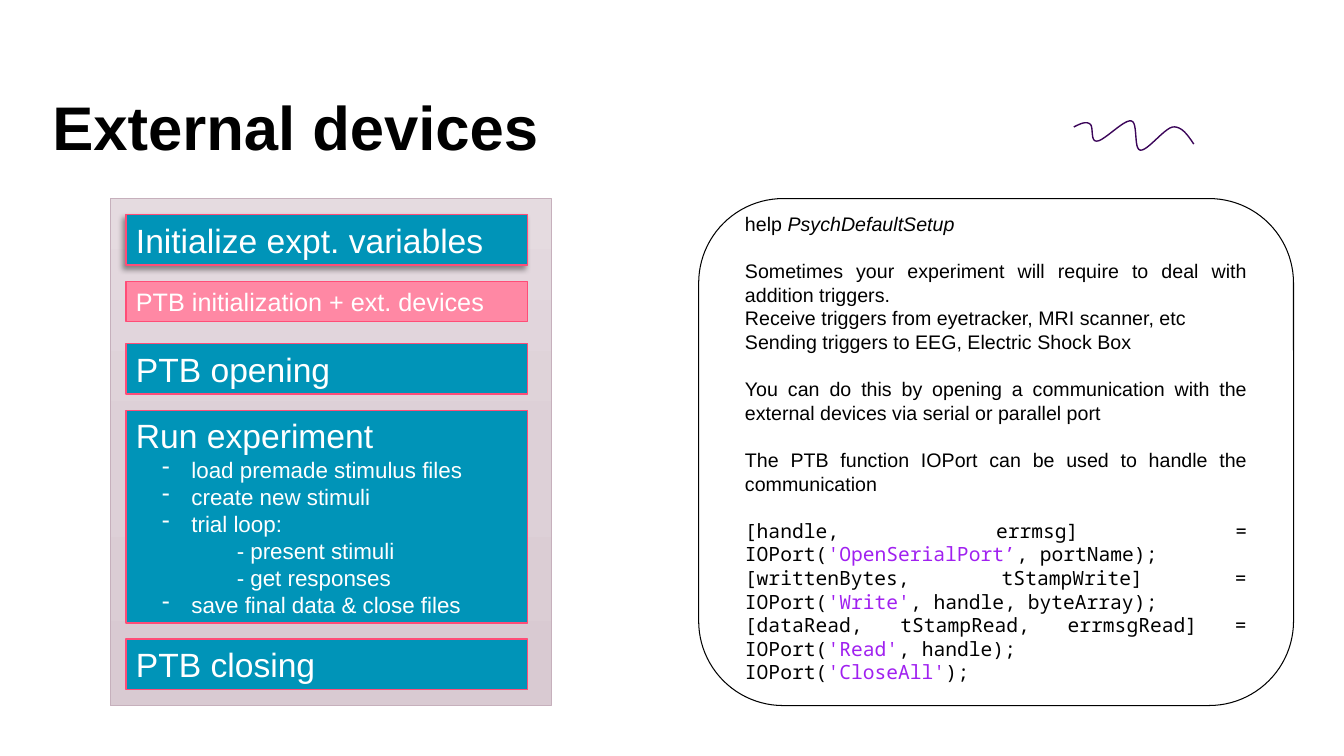
from copy import deepcopy

from lxml import etree
from pptx import Presentation
from pptx.dml.color import RGBColor
from pptx.enum.shapes import MSO_SHAPE
from pptx.enum.text import MSO_ANCHOR, PP_ALIGN
from pptx.oxml.ns import qn
from pptx.util import Inches, Pt

RECTANGLE = MSO_SHAPE.RECTANGLE
ROUNDED = MSO_SHAPE.ROUNDED_RECTANGLE
TOP = MSO_ANCHOR.TOP
LEFT = PP_ALIGN.LEFT
JUSTIFY = PP_ALIGN.JUSTIFY

BLACK = RGBColor(0x00, 0x00, 0x00)
WHITE = RGBColor(0xFF, 0xFF, 0xFF)
BLUE = RGBColor(0x00, 0x94, 0xB8)
PINK = RGBColor(0xFF, 0x88, 0xA4)
ROSE = RGBColor(0xFF, 0x4D, 0x77)
MAUVE = RGBColor(0xC6, 0xB0, 0xBC)
PURPLE = RGBColor(0x3B, 0x05, 0x59)
STRING = RGBColor(0xA0, 0x20, 0xF0)
PANEL_STOPS = [
    (0, RGBColor(0xE5, 0xDB, 0xE0)),
    (0.5, RGBColor(0xDD, 0xD0, 0xD7)),
    (1, RGBColor(0xD9, 0xCA, 0xD2)),
]

BODY_FONT = "Arial"
CODE_FONT = "Noto Sans Mono"
LINE_PITCH = 1.205
NOTE_SIZE = 14

SQUIGGLE_START = (10.65, 1.26)
SQUIGGLE_CURVES = [
    ((10.71, 1.23), (10.77, 1.2), (10.81, 1.23)),
    ((10.85, 1.25), (10.81, 1.41), (10.88, 1.4)),
    ((10.95, 1.4), (11.15, 1.18), (11.22, 1.2)),
    ((11.29, 1.21), (11.24, 1.48), (11.31, 1.49)),
    ((11.38, 1.5), (11.54, 1.28), (11.63, 1.26)),
    ((11.72, 1.25), (11.78, 1.34), (11.84, 1.43)),
]

STAGES = [
    ("Initialize expt. variables", 2.13, 0.5, 24, BLUE),
    ("PTB opening", 3.41, 0.5, 24, BLUE),
    ("Run experiment", 4.07, 2.11, 24, BLUE),
    ("PTB closing", 6.34, 0.5, 24, BLUE),
    ("PTB initialization + ext. devices", 2.79, 0.4, 18, PINK),
]
RUN_STEPS = [
    ("load premade stimulus files", True),
    ("create new stimuli", True),
    ("trial loop:", True),
    ("- present stimuli", False),
    ("- get responses", False),
    ("save final data & close files", True),
]

NOTES = [
    ("Sometimes your experiment will require to deal with addition triggers.", True),
    ("Receive triggers from eyetracker, MRI scanner, etc", False),
    ("Sending triggers to EEG, Electric Shock Box", False),
    ("You can do this by opening a communication with the external devices "
     "via serial or parallel port", True),
    ("The PTB function IOPort can be used to handle the communication", True),
]
CODE = [
    ("[handle, errmsg] = IOPort(", "'OpenSerialPort’", ", portName);"),
    ("[writtenBytes, tStampWrite] = IOPort(", "'Write'", ", handle, byteArray);"),
    ("[dataRead, tStampRead, errmsgRead] = IOPort(", "'Read'", ", handle);"),
    ("IOPort(", "'CloseAll'", ");"),
]


class SlideBuilder:
    def __init__(self, slide):
        self.slide = slide

    def box(self, kind, bounds, line_color, line_width, fill=None):
        shape = self.slide.shapes.add_shape(kind, *map(Inches, bounds))
        shape.shadow.inherit = False
        shape.line.color.rgb = line_color
        shape.line.width = Pt(line_width)
        if fill is None:
            shape.fill.background()
        else:
            shape.fill.solid()
            shape.fill.fore_color.rgb = fill
        shape.text_frame.word_wrap = True
        shape.text_frame.vertical_anchor = TOP
        return shape

    def text_box(self, bounds):
        frame = self.slide.shapes.add_textbox(*map(Inches, bounds)).text_frame
        frame.word_wrap = True
        return frame

    def fill_paragraph(self, paragraph, parts, size, color, font=BODY_FONT, align=LEFT):
        paragraph.alignment = align
        paragraph.line_spacing = Pt(size * LINE_PITCH)
        for part in parts:
            run = paragraph.add_run()
            run.text = part
            run.font.name = font
            run.font.size = Pt(size)
            run.font.color.rgb = color
        return paragraph

    def indent(self, paragraph, margin, hanging=0, bullet=None):
        properties = paragraph._p.get_or_add_pPr()
        properties.set("marL", str(Inches(margin)))
        properties.set("indent", str(-Inches(hanging)))
        if bullet:
            etree.SubElement(properties, qn("a:buChar"), char=bullet)

    def gradient(self, shape, stops):
        shape.fill.gradient()
        shape.fill.gradient_angle = 270
        stop_list = shape._element.spPr.find(qn("a:gradFill")).find(qn("a:gsLst"))
        stop_list.insert(1, deepcopy(stop_list[0]))
        for stop, (position, color) in zip(shape.fill.gradient_stops, stops):
            stop.position = position
            stop.color.rgb = color

    def drop_shadow(self, shape):
        effects = shape._element.spPr.find(qn("a:effectLst"))
        shadow = etree.SubElement(
            effects, qn("a:outerShdw"), blurRad=str(Pt(4)), dist=str(Pt(3)),
            dir=str(135 * 60000), algn="tr", rotWithShape="0")
        color = etree.SubElement(shadow, qn("a:srgbClr"), val=str(BLACK))
        etree.SubElement(color, qn("a:alpha"), val="40000")

    def curve(self, start, curves, color, steps=12):
        points = []
        origin = start
        for first, second, end in curves:
            for step in range(1, steps + 1):
                t = step / steps
                u = 1 - t
                points.append(tuple(
                    Inches(u**3 * a + 3 * u * u * t * b + 3 * u * t * t * c + t**3 * d)
                    for a, b, c, d in zip(origin, first, second, end)))
            origin = end
        outline = self.slide.shapes.build_freeform(*map(Inches, start))
        outline.add_line_segments(points, close=False)
        shape = outline.convert_to_shape()
        shape.shadow.inherit = False
        shape.fill.background()
        shape.line.color.rgb = color
        shape.line.width = Pt(1)


def main():
    deck = Presentation()
    deck.slide_width = Inches(13.33)
    deck.slide_height = Inches(7.5)
    builder = SlideBuilder(deck.slides.add_slide(deck.slide_layouts[6]))

    builder.curve(SQUIGGLE_START, SQUIGGLE_CURVES, PURPLE)

    heading = builder.text_box((0.42, 0.92, 11.61, 1.51)).paragraphs[0]
    builder.fill_paragraph(heading, ["External devices"], 44, BLACK)
    heading.line_spacing = 0.9
    heading.runs[0].font.bold = True

    panel = builder.box(RECTANGLE, (1.09, 1.97, 4.38, 5.03), MAUVE, 0.5)
    builder.gradient(panel, PANEL_STOPS)

    stages = {}
    for label, top, height, size, fill in STAGES:
        stage = builder.box(RECTANGLE, (1.25, top, 3.98, height), ROSE, 1, fill)
        builder.fill_paragraph(stage.text_frame.paragraphs[0], [label], size, WHITE)
        stages[label] = stage
    builder.drop_shadow(stages["Initialize expt. variables"])

    experiment = stages["Run experiment"].text_frame
    for step, bulleted in RUN_STEPS:
        paragraph = builder.fill_paragraph(experiment.add_paragraph(), [step], 16, WHITE)
        if bulleted:
            builder.indent(paragraph, 0.55, 0.29, "-")
        else:
            builder.indent(paragraph, 1)

    builder.box(ROUNDED, (6.93, 1.97, 5.9, 5.03), BLACK, 0.75)
    notes = builder.text_box((7.29, 2.05, 5.18, 4.81))
    gap = Pt(NOTE_SIZE * LINE_PITCH)
    help_line = builder.fill_paragraph(
        notes.paragraphs[0], ["help ", "PsychDefaultSetup"], NOTE_SIZE, BLACK, align=JUSTIFY)
    help_line.runs[1].font.italic = True
    for note, starts_block in NOTES:
        paragraph = builder.fill_paragraph(
            notes.add_paragraph(), [note], NOTE_SIZE, BLACK, align=JUSTIFY)
        if starts_block:
            paragraph.space_before = gap
    for index, statement in enumerate(CODE):
        paragraph = builder.fill_paragraph(
            notes.add_paragraph(), statement, NOTE_SIZE, BLACK, CODE_FONT, JUSTIFY)
        paragraph.runs[1].font.color.rgb = STRING
        if index == 0:
            paragraph.space_before = gap

    deck.save("out.pptx")


if __name__ == "__main__":
    main()
